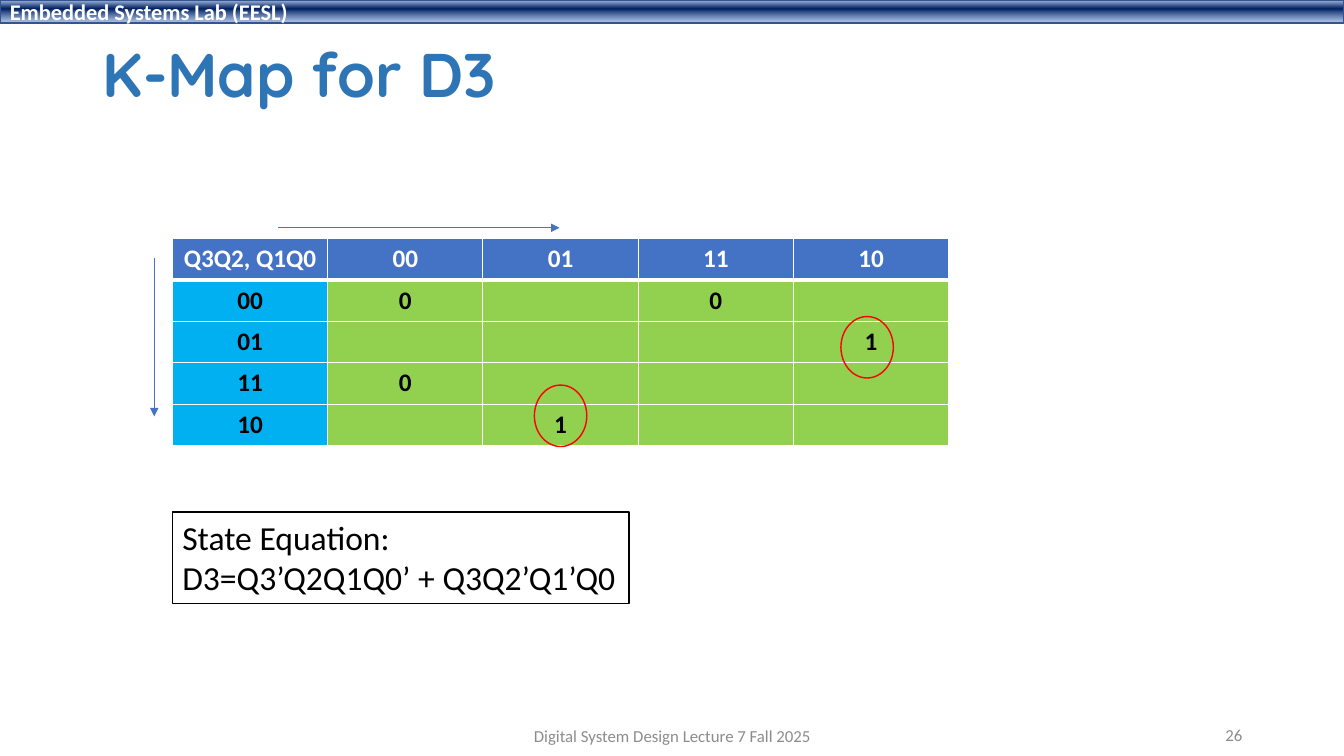
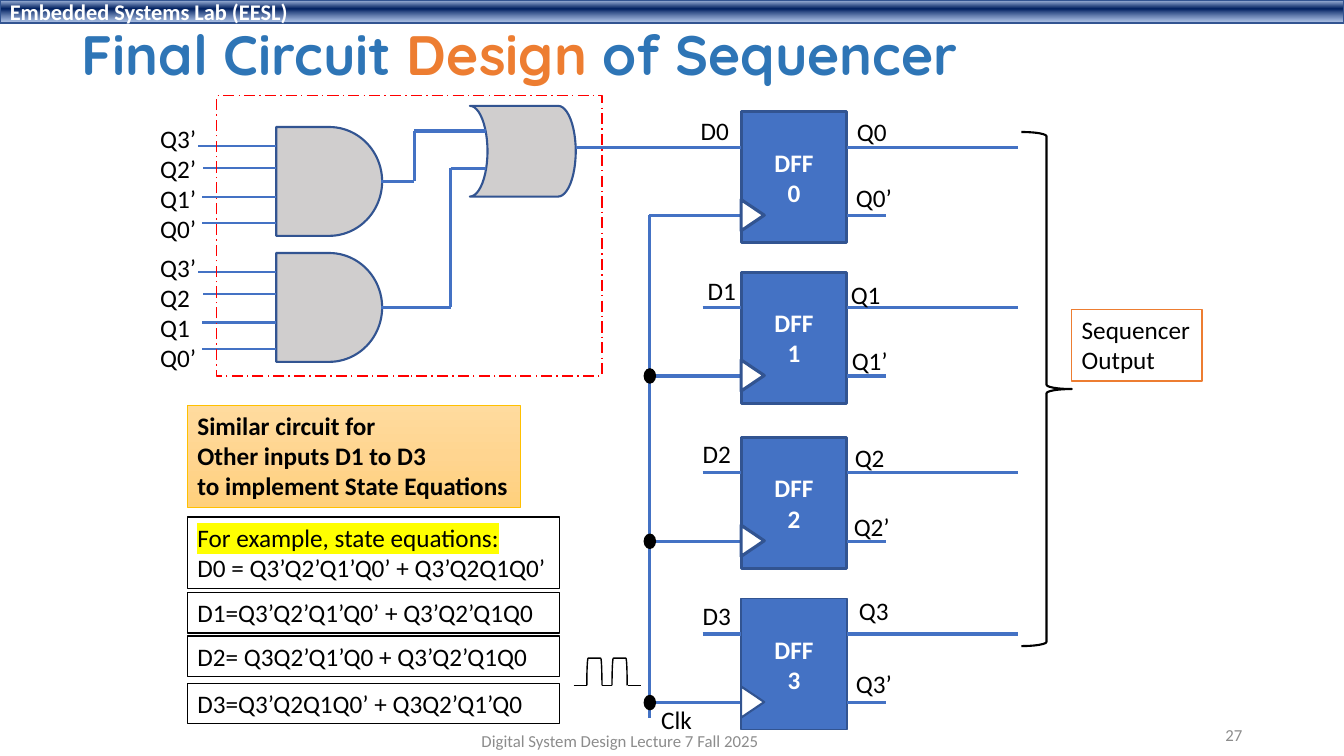
import lxml.etree
import pptx
import pptx.dml.color
import pptx.enum.dml
import pptx.enum.shapes
import pptx.enum.text
import pptx.oxml.ns
import pptx.util

Inches = pptx.util.Inches
Pt = pptx.util.Pt
qn = pptx.oxml.ns.qn
SHAPE = pptx.enum.shapes.MSO_SHAPE
ALIGN = pptx.enum.text.PP_ALIGN
ANCHOR = pptx.enum.text.MSO_ANCHOR

COLORS = {
    "white": "FFFFFF", "black": "000000", "red": "FF0000", "blue": "4472C4",
    "edge": "325491", "title": "2E75B6", "orange": "ED7D31", "grey": "8C8C8C",
    "gate": "D0CECE", "sky": "00B0F0", "green": "92D050", "gold": "FFC000",
    "yellow": "FFFF00", "band_top": "ABC0E4", "navy": "002060",
    "band_end": "7E9ED6", "sand_top": "FFDB9E", "sand": "FFD590",
    "sand_end": "FFD07C",
}
BAND = [(2, "band_top", 100), (38, "navy", 100), (93, "band_end", 64)]
SAND = [(0, "sand_top", 100), (50, "sand", 100), (100, "sand_end", 100)]
BODY = "Calibri"
HEADING = "Quicksand"


def rgb(name):
    """Return the named colour."""
    return pptx.dml.color.RGBColor.from_string(COLORS[name])


def sub(parent, tag, **attrs):
    """Append a drawing element and return it."""
    el = lxml.etree.SubElement(parent, qn("a:" + tag))
    for key, value in attrs.items():
        el.set(key, str(value))
    return el


def write(tf, paras, size=18, color="black", bold=False, font=BODY,
          align=ALIGN.LEFT, anchor=ANCHOR.TOP, wrap=False, spacing=None):
    """Write paragraphs, each a string or a list of (text, color, highlight)."""
    tf.word_wrap = wrap
    tf.vertical_anchor = anchor
    for i, para in enumerate(paras):
        p = tf.paragraphs[0] if i == 0 else tf.add_paragraph()
        p.alignment = align
        if spacing:
            p.line_spacing = spacing
        runs = [(para, color, None)] if isinstance(para, str) else para
        for text, run_color, highlight in runs:
            r = p.add_run()
            r.text = text
            r.font.size = Pt(size)
            r.font.bold = bold
            r.font.color.rgb = rgb(run_color)
            if highlight:
                mark = sub(r._r.get_or_add_rPr(), "highlight")
                sub(mark, "srgbClr", val=COLORS[highlight])
            r.font.name = font


def label(s, x, y, w, h, paras, **fmt):
    """Add a text box."""
    tb = s.shapes.add_textbox(Inches(x), Inches(y), Inches(w), Inches(h))
    write(tb.text_frame, paras, **fmt)


def gradient(sp, stops):
    """Fill a shape from top to bottom with the given stops."""
    sp.fill.gradient()
    sp.fill.gradient_angle = 270
    gs_list = sp._element.spPr.find(qn("a:gradFill")).find(qn("a:gsLst"))
    for gs in list(gs_list):
        gs_list.remove(gs)
    for pos, color, alpha in stops:
        gs = sub(gs_list, "gs", pos=pos * 1000)
        clr = sub(gs, "srgbClr", val=COLORS[color])
        if alpha < 100:
            sub(clr, "alpha", val=alpha * 1000)


def shape(s, kind, x, y, w, h, fill=None, line="black", width=1, rotation=0,
          paras=(), **fmt):
    """Add a preset shape with optional text."""
    sp = s.shapes.add_shape(kind, Inches(x), Inches(y), Inches(w), Inches(h))
    sp.shadow.inherit = False
    sp.rotation = rotation
    if isinstance(fill, list):
        gradient(sp, fill)
    elif fill:
        sp.fill.solid()
        sp.fill.fore_color.rgb = rgb(fill)
    else:
        sp.fill.background()
    sp.line.color.rgb = rgb(line)
    sp.line.width = Pt(width)
    write(sp.text_frame, paras, **fmt)
    return sp


def wires(s, *points, color="blue", width=2.25, arrow=False):
    """Join consecutive points with straight connectors."""
    for (x1, y1), (x2, y2) in zip(points, points[1:]):
        c = s.shapes.add_connector(
            pptx.enum.shapes.MSO_CONNECTOR.STRAIGHT,
            Inches(x1), Inches(y1), Inches(x2), Inches(y2))
        c.line.color.rgb = rgb(color)
        c.line.width = Pt(width)
        if arrow:
            sub(c.line._get_or_add_ln(), "tailEnd", type="triangle")
        sub(c._element.spPr, "effectLst")


def frame(prs, title, title_box, size, number, footer_box):
    """Add a slide with its band, title, footer and number."""
    s = prs.slides.add_slide(prs.slide_layouts[6])
    shape(s, SHAPE.RECTANGLE, 0, 0, 13.33, 0.23, BAND, "edge",
          paras=["Embedded Systems Lab (EESL)"], size=16, color="white",
          bold=True, anchor=ANCHOR.MIDDLE, wrap=True)
    label(s, *title_box, [title], size=size, bold=True, font=HEADING,
          anchor=ANCHOR.MIDDLE, wrap=True, spacing=0.9)
    small = dict(size=12, color="grey", anchor=ANCHOR.MIDDLE, wrap=True)
    label(s, 9.42, 7.09, 3, 0.4, [number], align=ALIGN.RIGHT, **small)
    label(s, *footer_box, ["Digital System Design Lecture 7 Fall 2025"],
          align=ALIGN.CENTER, **small)
    return s


def borders(cell, bottom):
    """Give a cell white borders."""
    pr = cell._tc.get_or_add_tcPr()
    sides = [("lnL", 1), ("lnR", 1), ("lnT", 1), ("lnB", bottom)]
    for i, (tag, width) in enumerate(sides):
        ln = sub(pr, tag, w=int(Pt(width)))
        sub(sub(ln, "solidFill"), "srgbClr", val=COLORS["white"])
        pr.insert(i, ln)


def kmap(s, x, y, rows, col_w=1.54, row_h=0.41):
    """Draw a Karnaugh map with its reading arrows and ringed ones."""
    n_rows, n_cols = len(rows), len(rows[0])
    table = s.shapes.add_table(
        n_rows, n_cols, Inches(x), Inches(y),
        Inches(col_w * n_cols), Inches(row_h * n_rows)).table
    for col in table.columns:
        col.width = Inches(col_w)
    for i, row in enumerate(rows):
        table.rows[i].height = Inches(row_h)
        for j, text in enumerate(row):
            cell = table.cell(i, j)
            cell.fill.solid()
            fill = "blue" if i == 0 else "sky" if j == 0 else "green"
            cell.fill.fore_color.rgb = rgb(fill)
            borders(cell, 1 if i else 3)
            write(cell.text_frame, [text] if text else [], bold=True,
                  color="black" if i else "white", align=ALIGN.CENTER,
                  wrap=True)
    for dx, dy in [(3.59, 1.45), (6.63, 0.77)]:
        shape(s, SHAPE.OVAL, x + dx, y + dy, 0.52, 0.61, line="red")
    for start, end in [((-0.18, 0.19), (-0.18, 1.76)),
                       ((1.05, -0.11), (3.84, -0.11))]:
        wires(s, (x + start[0], y + start[1]), (x + end[0], y + end[1]),
              width=0.5, arrow=True)


def and_gate(s, x, y, names, label_y):
    """Draw a four-input AND gate with its input names."""
    shape(s, SHAPE.FLOWCHART_DELAY, x, y, 1.05, 1.08, "gate", "edge", 1.5)
    for dy, length in [(0.19, 0.78), (0.41, 0.73), (0.69, 0.74), (0.95, 0.74)]:
        wires(s, (x, y + dy), (x - length, y + dy), width=1.5)
    label(s, x - 1.25, label_y, 0.56, 1.31, names)


def input_logic(s, x, y):
    """Draw the two-level gate circuit inside its dashed frame."""
    and_gate(s, x + 0.59, y + 0.31, ["Q3’", "Q2’", "Q1’", "Q0’"], y + 0.22)
    and_gate(s, x + 0.59, y + 1.56, ["Q3’", "Q2", "Q1", "Q0’"], y + 1.5)
    shape(s, SHAPE.FLOWCHART_STORED_DATA, x + 2.51, y + 0.1, 1.05, 0.9,
          "gate", "edge", 1.5, rotation=180)
    for start, bend, end in [(0.85, 1.96, 0.35), (2.1, 2.32, 0.72)]:
        wires(s, (x + 1.63, y + start), (x + bend, y + start),
              (x + bend, y + end), (x + 2.67, y + end))
    sp = shape(s, SHAPE.RECTANGLE, x, y, 3.82, 2.78, line="red")
    sp.line.dash_style = pptx.enum.dml.MSO_LINE.LONG_DASH_DOT


def flip_flop(s, x, y, n, data_x, clock_x, offsets, width):
    """Draw one D flip-flop with its wires and pin names."""
    shape(s, SHAPE.RECTANGLE, x, y, 1.05, 1.3, "blue", "edge", width,
          paras=["DFF", str(n)], color="white", bold=True,
          align=ALIGN.CENTER, anchor=ANCHOR.MIDDLE, wrap=True)
    data_y, clock_y = y + 0.35, y + 1.03
    for y_wire, left, right in [(data_y, data_x, 10.1),
                                (clock_y, clock_x, 8.79)]:
        wires(s, (left, y_wire), (x, y_wire))
        wires(s, (x + 1.05, y_wire), (right, y_wire))
    shape(s, SHAPE.ISOSCELES_TRIANGLE, x - 0.04, y + 0.91, 0.31, 0.23,
          "white", "edge", min(width * 1.5, 2.25), rotation=90)
    for text, w, (dx, dy) in zip([f"D{n}", f"Q{n}", f"Q{n}’"],
                                 [0.49, 0.5, 0.56], offsets):
        label(s, x + dx, y + dy, w, 0.4, [text])


def register(s, x, clock_x):
    """Draw the four flip-flops on their common clock line."""
    stages = [
        (1.11, 5.71, 2.25, [(-0.5, -0.02), (1.05, 0), (1.04, 0.65)]),
        (2.7, 6.97, 2.25, [(-0.43, -0.02), (0.99, 0.02), (1, 0.68)]),
        (4.34, 6.97, 2.25, [(-0.48, -0.04), (1.03, 0), (1.02, 0.68)]),
        (5.94, 6.97, 1, [(-0.48, -0.03), (1.07, -0.08), (1.04, 0.64)]),
    ]
    wires(s, (clock_x, 2.13), (clock_x, 7.12))
    for n, (y, data_x, width, offsets) in enumerate(stages):
        flip_flop(s, x, y, n, data_x, clock_x, offsets, width)
        if n:
            shape(s, SHAPE.OVAL, clock_x - 0.05, y + 0.96, 0.11, 0.14, "black")
    label(s, clock_x + 0.02, 6.94, 0.51, 0.4, ["Clk"])


def clock_pulse(s, x, y):
    """Draw two clock pulses on a base line at y."""
    for dx in (0.07, 0.32):
        shape(s, SHAPE.LEFT_BRACKET, x + dx, y - 0.21, 0.27, 0.15, rotation=90)
    for start, end in [(0, 0.13), (0.28, 0.38), (0.54, 0.67)]:
        wires(s, (x + start, y), (x + end, y), color="black", width=1)


def equations(s, x, y):
    """Draw the note and the boxed state equations below it."""
    shape(s, SHAPE.RECTANGLE, x, y, 3.3, 1.01, SAND, "gold", 0.5, bold=True,
          paras=["Similar circuit for", "Other inputs D1 to D3",
                 "to implement State Equations"])
    boxes = [
        (1.11, 0.71, [[("For example, state equations:", "black", "yellow")],
                      "D0 = Q3’Q2’Q1’Q0’ + Q3’Q2Q1Q0’"]),
        (1.86, 0.4, ["D1=Q3’Q2’Q1’Q0’ + Q3’Q2’Q1Q0"]),
        (2.29, 0.4, ["D2= Q3Q2’Q1’Q0 + Q3’Q2’Q1Q0"]),
        (2.76, 0.4, ["D3=Q3’Q2Q1Q0’ + Q3Q2’Q1’Q0"]),
    ]
    for dy, h, paras in boxes:
        shape(s, SHAPE.RECTANGLE, x, y + dy, 3.69, h, "white", paras=paras)


def kmap_slide(prs):
    """Build the K-map slide."""
    s = frame(prs, [("K-Map for D3", "title", None)], (0.92, 0.38, 11.5, 0.77),
              44, "26", (4.42, 7.1, 4.5, 0.4))
    kmap(s, 1.71, 2.37, [
        ["Q3Q2, Q1Q0", "00", "01", "11", "10"],
        ["00", "0", "", "0", ""],
        ["01", "", "", "", "1"],
        ["11", "0", "", "", ""],
        ["10", "", "1", "", ""],
    ])
    shape(s, SHAPE.RECTANGLE, 1.71, 5.08, 4.53, 0.91, "white", size=24,
          paras=["State Equation:", "D3=Q3’Q2Q1Q0’ + Q3Q2’Q1’Q0"])


def circuit_slide(prs):
    """Build the sequencer circuit slide."""
    title = [("Final Circuit ", "title", None), ("Design ", "orange", None),
             ("of Sequencer", "title", None)]
    s = frame(prs, title, (0.71, 0.17, 10.13, 0.81), 39.6, "27",
              (3.9, 7.19, 4.5, 0.31))
    input_logic(s, 2.15, 0.95)
    register(s, 7.35, 6.44)
    shape(s, SHAPE.RIGHT_BRACE, 10.13, 1.31, 0.5, 5.1, width=1.5)
    shape(s, SHAPE.RECTANGLE, 10.63, 3.07, 1.29, 0.71, "white", "orange",
          paras=["Sequencer", "Output"])
    equations(s, 1.86, 4.02)
    clock_pulse(s, 5.69, 6.8)


def main():
    """Build and save the presentation."""
    prs = pptx.Presentation()
    prs.slide_width = Inches(13.33)
    prs.slide_height = Inches(7.5)
    kmap_slide(prs)
    circuit_slide(prs)
    prs.save("out.pptx")


if __name__ == "__main__":
    main()
